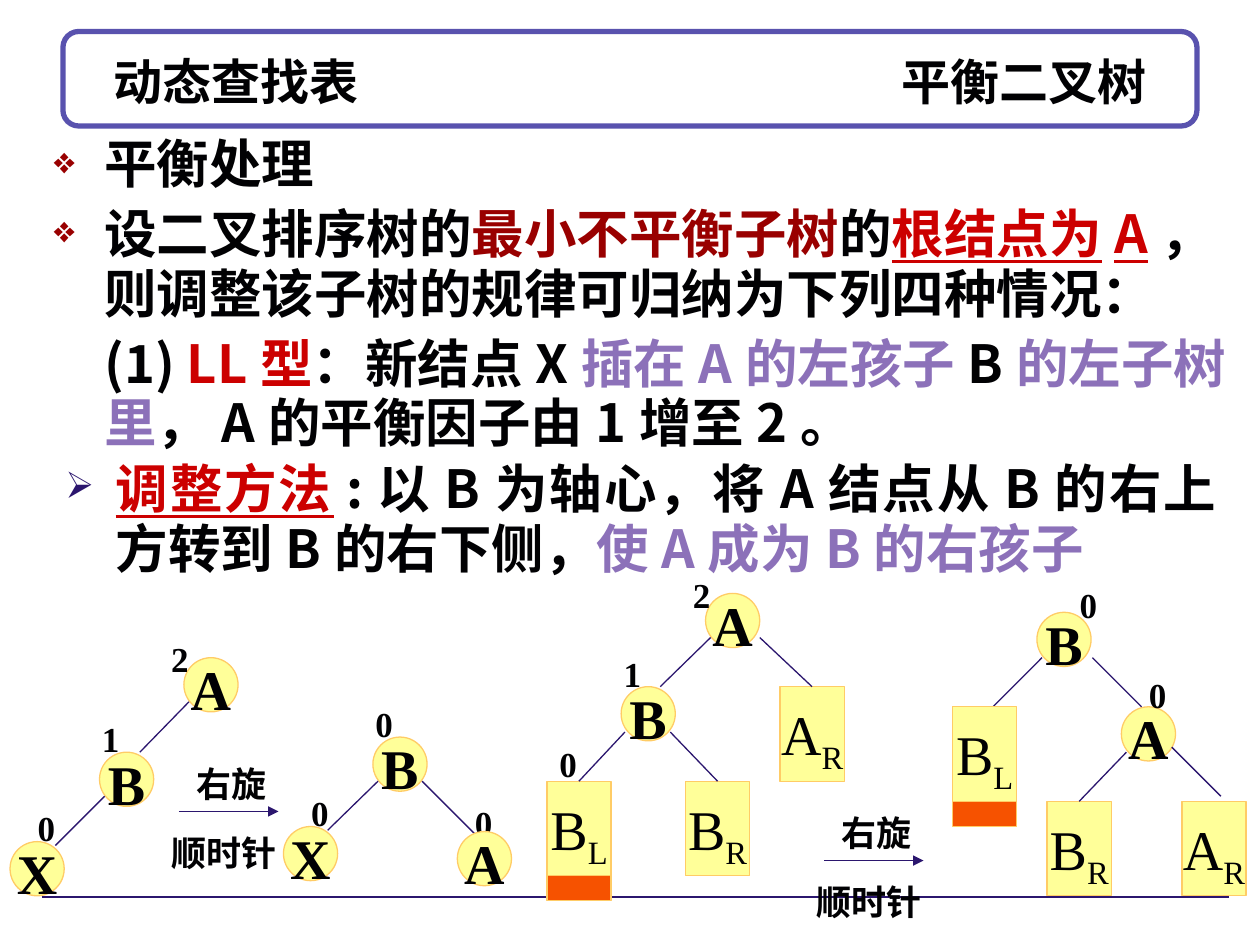
from dataclasses import dataclass

from lxml import etree
from pptx import Presentation
from pptx.dml.color import RGBColor
from pptx.enum import shapes, text
from pptx.oxml import ns
from pptx.util import Inches, Pt


@dataclass(frozen=True)
class Theme:
    ink: str = "010103"
    white: str = "FFFFFF"
    frame: str = "5952AE"
    edge: str = "2B166E"
    dark_red: str = "990000"
    red: str = "CC0000"
    purple: str = "8C71B9"
    yellow: str = "FFFF99"
    gold: str = "FFCC66"
    orange: str = "F65200"
    serif: str = "Times New Roman"
    cjk: str = "Noto Sans CJK SC"
    label_font: str = "Lato"
    title: int = 28
    body: int = 30
    node: int = 32
    label: int = 20


T = Theme()
rgb = RGBColor.from_string


def write(p, runs, size, font, bold=True, spacing=1.1):
    """Add runs given as (text, colour, style); style is "u" or "sub"."""
    p.line_spacing = spacing
    for words, color, style in runs:
        r = p.add_run()
        r.text = words
        r.font.size, r.font.name, r.font.bold = Pt(size), font, bold
        r.font.color.rgb = rgb(color)
        if style == "u":
            r.font.underline = True
        rPr = r._r.get_or_add_rPr()
        if style == "sub":
            rPr.set("baseline", "-25000")
        etree.SubElement(rPr, ns.qn("a:ea"), typeface=T.cjk)


def add_line(parent, x1, y1, x2, y2, arrow=False):
    c = parent.add_connector(shapes.MSO_CONNECTOR.STRAIGHT,
                             Inches(x1), Inches(y1), Inches(x2), Inches(y2))
    c.line.color.rgb = rgb(T.edge)
    c.line.width = Pt(0.75)
    if arrow:
        etree.SubElement(c.line._get_or_add_ln(), ns.qn("a:tailEnd"), type="triangle")
    etree.SubElement(c._element.spPr, ns.qn("a:effectLst"))
    return c


prs = Presentation()
prs.slide_width, prs.slide_height = Inches(10), Inches(7.5)
s = prs.slides.add_slide(prs.slide_layouts[6])

# Frame and footer rule
sp = s.shapes.add_shape(shapes.MSO_SHAPE.ROUNDED_RECTANGLE,
                        Inches(0.5), Inches(0.25), Inches(9), Inches(0.75))
sp.shadow.inherit = False
sp.fill.solid()
sp.fill.fore_color.rgb = rgb(T.white)
sp.line.color.rgb = rgb(T.frame)
sp.line.width = Pt(3)
add_line(s.shapes, 0.33, 7.12, 9.75, 7.12)

# Title, its second half held by a right tab
tf = s.shapes.add_textbox(Inches(0.5), Inches(0.33), Inches(9), Inches(0.62)).text_frame
tf.word_wrap = True
tf.vertical_anchor = text.MSO_ANCHOR.MIDDLE
tf.margin_left = tf.margin_right = Inches(0.4)
p = tf.paragraphs[0]
tabs = etree.SubElement(p._p.get_or_add_pPr(), ns.qn("a:tabLst"))
etree.SubElement(tabs, ns.qn("a:tab"), pos=str(Inches(8.2)), algn="r")
write(p, [("动态查找表\t平衡二叉树", T.ink, "")], T.title, T.serif, spacing=1.0)

# Body text: (bullet, bullet colour, justified, runs) in each box
rules = [
    ("❖", T.dark_red, False, [("平衡处理", T.ink, "")]),
    ("❖", T.dark_red, False, [
        ("设二叉排序树的", T.ink, ""), ("最小不平衡子树", T.dark_red, ""),
        ("的", T.ink, ""), ("根结点为A", T.red, "u"),
        ("，则调整该子树的规律可归纳为下列四种情况：", T.ink, "")]),
    ("", "", True, [
        ("(1) ", T.ink, ""), ("LL型", T.red, ""), ("：新结点X", T.ink, ""),
        ("插在A的左孩子", T.purple, ""), ("B", T.ink, ""),
        ("的左子树里", T.purple, ""), ("，A的平衡因子由1增至2。", T.ink, "")]),
]
method = [("➢", T.edge, True, [
    ("调整方法", T.red, "u"),
    (":以B为轴心，将A结点从B的右上方转到B的右下侧，", T.ink, ""),
    ("使A成为B的右孩子", T.purple, "")])]
for x, y, w, h, paragraphs in [(0.33, 1.03, 9.5, 2.63, rules),
                               (0.42, 3.61, 9.33, 1.05, method)]:
    tf = s.shapes.add_textbox(Inches(x), Inches(y), Inches(w), Inches(h)).text_frame
    tf.word_wrap = True
    for i, (bullet, color, justified, runs) in enumerate(paragraphs):
        p = tf.add_paragraph() if i else tf.paragraphs[0]
        pPr = p._p.get_or_add_pPr()
        pPr.set("marL", str(Inches(0.4)))
        pPr.set("indent", str(Inches(-0.4 if bullet else 0)))
        if bullet:
            clr = etree.SubElement(pPr, ns.qn("a:buClr"))
            etree.SubElement(clr, ns.qn("a:srgbClr"), val=color)
            etree.SubElement(pPr, ns.qn("a:buSzPct"), val="70000")
            etree.SubElement(pPr, ns.qn("a:buChar"), char=bullet)
        if justified:
            p.alignment = text.PP_ALIGN.JUSTIFY
        if i:
            p.space_before = Pt(5.6)
        write(p, runs, T.body, T.cjk, spacing=0.95)

# Trees, each listed back to front:
# ovals, boxes and bars (kind, text, x, y), factors (kind, text, x, y),
# edges (kind, box joined at its top or "", x1, y1, x2, y2)
trees = [
    [("oval", "A", 1.46, 5.22), ("oval", "B", 0.79, 5.97), ("oval", "X", 0.08, 6.68),
     ("edge", "", 1.5, 5.57, 1.11, 5.97), ("edge", "", 0.83, 6.32, 0.44, 6.71),
     ("factor", "0", 0.2, 6.32), ("factor", "1", 0.71, 5.61), ("factor", "2", 1.26, 4.98)],
    [("oval", "B", 2.96, 5.85), ("oval", "X", 2.25, 6.56),
     ("edge", "", 3, 6.2, 2.6, 6.59),
     ("factor", "0", 2.37, 6.2), ("factor", "0", 2.88, 5.49), ("factor", "0", 3.67, 6.28),
     ("edge", "", 3.35, 6.2, 3.79, 6.64), ("oval", "A", 3.63, 6.6)],
    [("oval", "A", 5.6, 4.71), ("oval", "B", 4.93, 5.45),
     ("edge", "", 5.64, 5.06, 5.24, 5.45),
     ("factor", "0", 4.34, 5.81), ("factor", "1", 4.85, 5.1), ("factor", "2", 5.4, 4.47),
     ("box", "BL", 4.34, 6.2), ("box", "BR", 5.44, 6.2), ("bar", "", 4.34, 6.95),
     ("box", "AR", 6.19, 5.45),
     ("edge", "BL", 4.96, 5.81, 4.57, 6.2), ("edge", "BR", 5.32, 5.81, 5.71, 6.2),
     ("edge", "AR", 6.03, 5.06, 6.42, 5.45)],
    [("oval", "B", 8.23, 4.86), ("oval", "A", 8.9, 5.61),
     ("edge", "", 8.27, 5.22, 7.88, 5.61),
     ("factor", "0", 8.47, 4.55), ("factor", "0", 9.02, 5.26),
     ("box", "BL", 7.56, 5.61), ("box", "BR", 8.31, 6.36), ("bar", "", 7.56, 6.36),
     ("box", "AR", 9.38, 6.36),
     ("edge", "", 8.67, 5.22, 9.06, 5.61), ("edge", "BR", 8.94, 5.97, 8.55, 6.36),
     ("edge", "", 9.3, 5.93, 9.69, 6.32)],
]
looks = {
    "oval": (shapes.MSO_SHAPE.OVAL, 0.43, 0.43, T.yellow),
    "box": (shapes.MSO_SHAPE.RECTANGLE, 0.51, 0.75, T.yellow),
    "bar": (shapes.MSO_SHAPE.RECTANGLE, 0.51, 0.2, T.orange),
}
for tree in trees:
    group = s.shapes.add_group_shape().shapes
    boxes = {}
    for kind, name, x, y, *end in tree:
        if kind == "edge":
            c = add_line(group, x, y, *end)
            if name:
                c.end_connect(boxes[name], 0)
        elif kind == "factor":
            sp = group.add_textbox(Inches(x), Inches(y), Inches(0.35), Inches(0.47))
            sp.text_frame.word_wrap = True
            write(sp.text_frame.paragraphs[0], [(name, T.ink, "")], T.label, T.serif)
        else:
            preset, w, h, fill = looks[kind]
            sp = group.add_shape(preset, Inches(x), Inches(y), Inches(w), Inches(h))
            sp.shadow.inherit = False
            sp.fill.solid()
            sp.fill.fore_color.rgb = rgb(fill)
            sp.line.color.rgb = rgb(T.gold)
            sp.line.width = Pt(0.75)
            if name:
                boxes[name] = sp
                tf = sp.text_frame
                tf.word_wrap = False
                tf.vertical_anchor = text.MSO_ANCHOR.MIDDLE
                p = tf.paragraphs[0]
                p.alignment = text.PP_ALIGN.CENTER
                runs = [(ch, T.ink, "sub" if i else "") for i, ch in enumerate(name)]
                write(p, runs, T.node, T.serif, bold=kind == "oval")

# Rotation arrows with a label above and below
for x, y in [(1.42, 6.44), (6.54, 6.83)]:
    group = s.shapes.add_group_shape().shapes
    add_line(group, x, y, x + 0.79, y, arrow=True)
    for words, dx, dy, w in [("右旋", 0.04, -0.47, 0.79), ("顺时针", -0.16, 0.08, 1.18)]:
        sp = group.add_textbox(Inches(x + dx), Inches(y + dy), Inches(w), Inches(0.47))
        sp.text_frame.word_wrap = True
        write(sp.text_frame.paragraphs[0], [(words, T.ink, "")], T.label, T.label_font)

prs.save("out.pptx")
